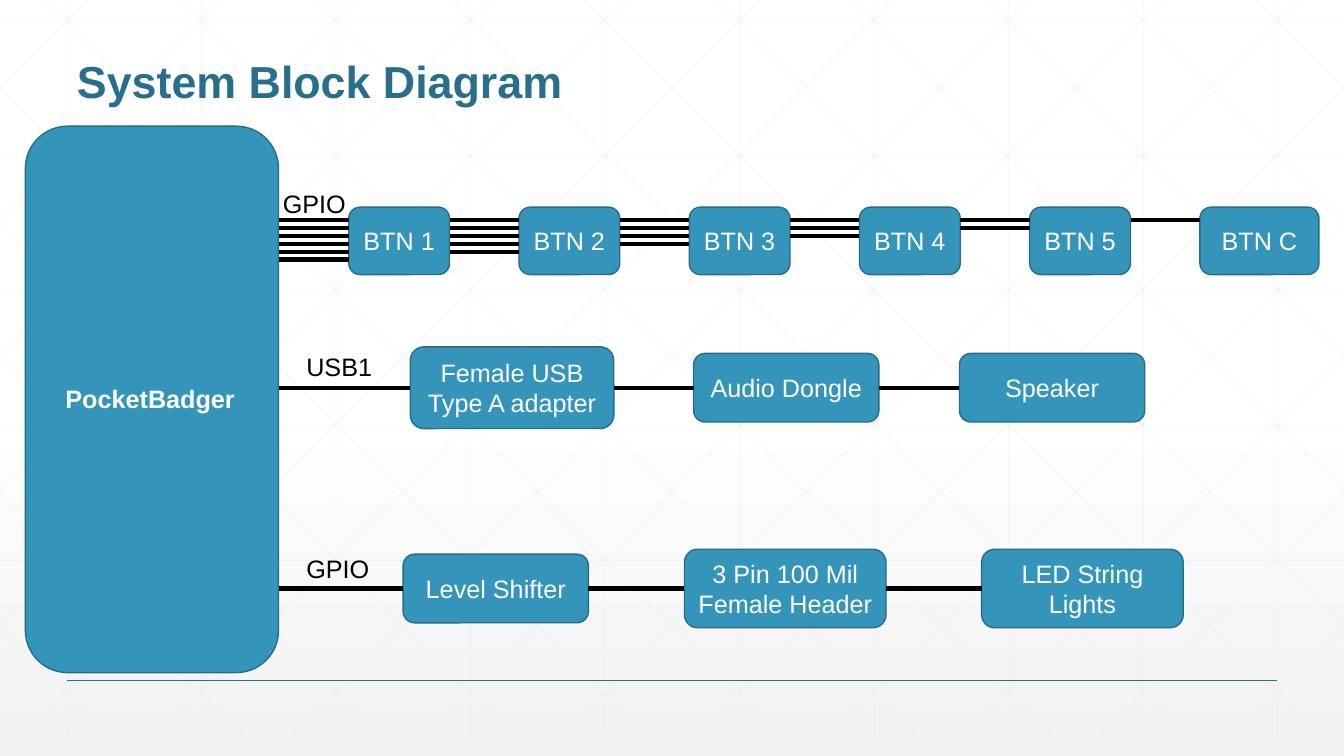
"""Build the system block diagram slide."""
from lxml import etree
from pptx import Presentation
from pptx import util as u
from pptx.dml.color import RGBColor
from pptx.enum import shapes, text
from pptx.oxml.ns import qn

TITLE = "System Block Diagram"
CONTROLLER = "PocketBadger"
BUTTONS = ["BTN 1", "BTN 2", "BTN 3", "BTN 4", "BTN 5", "BTN C"]
LABELS = [("GPIO", 6.88, 4.62), ("USB1", 7.47, 8.74), ("GPIO", 7.47, 13.82)]
CHAINS = [
    (9.77, [("Female USB Type A adapter", 10.34, 5.13, 2.06),
            ("Audio Dongle", 17.48, 4.67, 1.73),
            ("Speaker", 24.18, 4.67, 1.73)]),
    (14.83, [("Level Shifter", 10.16, 4.67, 1.73),
             ("3 Pin 100 Mil Female Header", 17.25, 5.08, 1.98),
             ("LED String Lights", 24.74, 5.08, 1.98)]),
]

WHITE = RGBColor(0xFF, 0xFF, 0xFF)
MIST = RGBColor(0xF2, 0xF2, 0xF2)
GREY = RGBColor(0xD9, 0xD9, 0xD9)
BLACK = RGBColor(0, 0, 0)
TEAL = RGBColor(0x27, 0x6F, 0x8B)
BLUE = RGBColor(0x34, 0x94, 0xBA)
EDGE = RGBColor(0x26, 0x6D, 0x8A)

WIDTH, HEIGHT = 33.87, 19.05
GRID_TOP, GRID_BOTTOM, GRID_STEP = -0.53, 18.52, 3.39
CONTROLLER_BOX = (0.64, 3.18, 6.38, 13.77)
CONTROLLER_RIGHT = 7.02

deck = Presentation()
deck.slide_width, deck.slide_height = u.Cm(WIDTH), u.Cm(HEIGHT)
page = deck.slides.add_slide(deck.slide_layouts[6])


def add_line(start, end, color, weight, alpha=None):
    line = page.shapes.add_connector(
        shapes.MSO_CONNECTOR.STRAIGHT, *map(u.Cm, start + end))
    line.line.color.rgb = color
    line.line.width = u.Pt(weight)
    properties = line._element.spPr
    etree.SubElement(properties, qn("a:effectLst"))
    if alpha:
        fill = properties.find(".//" + qn("a:srgbClr"))
        etree.SubElement(fill, qn("a:alpha"), val=str(alpha * 1000))


def write(shape, words, size, color, bold=False):
    frame = shape.text_frame
    frame.word_wrap = True
    para = frame.paragraphs[0]
    para.text = words
    para.font.name, para.font.size = "Arial", u.Pt(size)
    para.font.color.rgb, para.font.bold = color, bold
    return frame, para


def add_label(words, left, top, width, height, color, size=18, bold=False):
    box = page.shapes.add_textbox(*map(u.Cm, (left, top, width, height)))
    return write(box, words, size, color, bold)


def add_block(left, top, width, height, words=None):
    block = page.shapes.add_shape(
        shapes.MSO_SHAPE.ROUNDED_RECTANGLE,
        *map(u.Cm, (left, top, width, height)))
    block.shadow.inherit = False
    block.fill.solid()
    block.fill.fore_color.rgb = BLUE
    block.line.color.rgb = EDGE
    block.line.width = u.Pt(1)
    if words:
        frame, para = write(block, words, 18, WHITE)
        frame.vertical_anchor = text.MSO_ANCHOR.MIDDLE
        para.alignment = text.PP_ALIGN.CENTER


def add_chain(middle, blocks, wire_levels):
    """Draw blocks left to right, each joined to the one before it."""
    previous = CONTROLLER_RIGHT
    for (words, left, width, height), levels in zip(blocks, wire_levels):
        add_block(left, middle - height / 2, width, height, words)
        for level in levels:
            add_line((previous, level), (left, level), BLACK, 3)
        previous = left + width


fill = page.background.fill
fill.gradient()
fill.gradient_angle = 270
for stop, position, color in zip(fill.gradient_stops, (0.53, 1), (WHITE, MIST)):
    stop.position = position
    stop.color.rgb = color

grid = [((1.69 + GRID_STEP * i, 0), (1.69 + GRID_STEP * i, GRID_BOTTOM))
        for i in range(10)]
grid += [((0, 0.53 + 3.4 * i), (WIDTH, 0.53 + 3.4 * i)) for i in range(6)]
for i in range(-5, 10):
    origin = 0.63 + GRID_STEP * i
    first = max(0, GRID_TOP - origin)
    last = min(GRID_BOTTOM, GRID_TOP + WIDTH - origin)
    ends = [(origin + y - GRID_TOP, y) for y in (first, last)]
    grid += [tuple(ends), tuple((WIDTH - x, y) for x, y in ends)]
for start, end in grid:
    add_line(start, end, GREY, 0.5, alpha=25)

add_line((1.69, 17.14), (32.18, 17.14), TEAL, 1)
frame, para = add_label(TITLE, 1.69, 0.64, 30.48, 2.21, TEAL, 32, True)
frame.vertical_anchor = text.MSO_ANCHOR.BOTTOM
para.line_spacing = 0.9

add_block(*CONTROLLER_BOX)
add_label(CONTROLLER, 1.4, 9.53, 4.88, 1.02, WHITE, bold=True)
for words, left, top in LABELS:
    add_label(words, left, top, 2.24, 1.02, BLACK)

count = len(BUTTONS)
buttons = [(name, 8.79 + 4.29 * i, 3 if i == count - 1 else 2.54, 1.7)
           for i, name in enumerate(BUTTONS)]
button_wires = [[5.54 + 0.2 * j for j in range(count - i)]
                for i in range(count)]
add_chain(6.07, buttons, button_wires)
for middle, blocks in CHAINS:
    add_chain(middle, blocks, [[middle]] * len(blocks))

deck.save("out.pptx")
